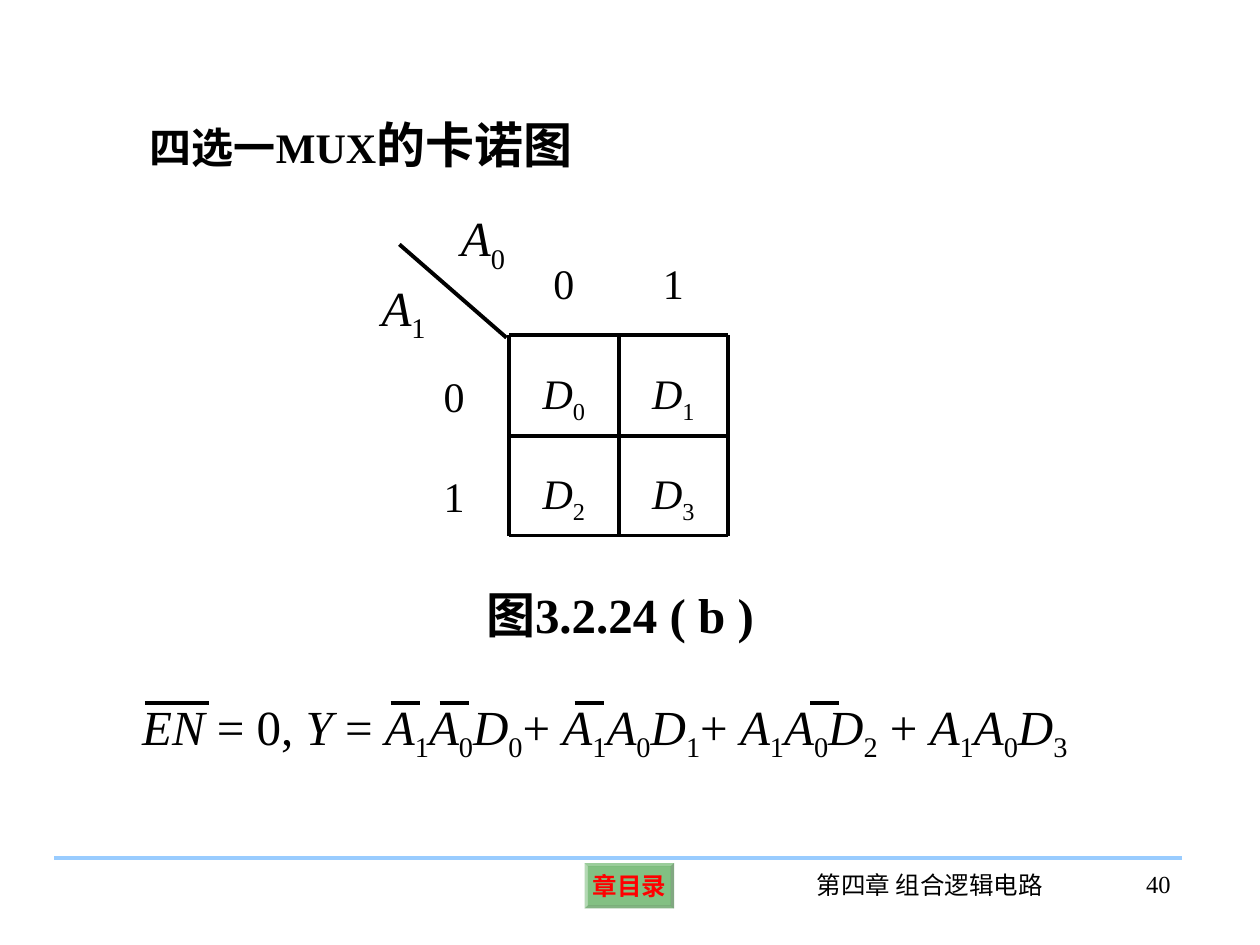
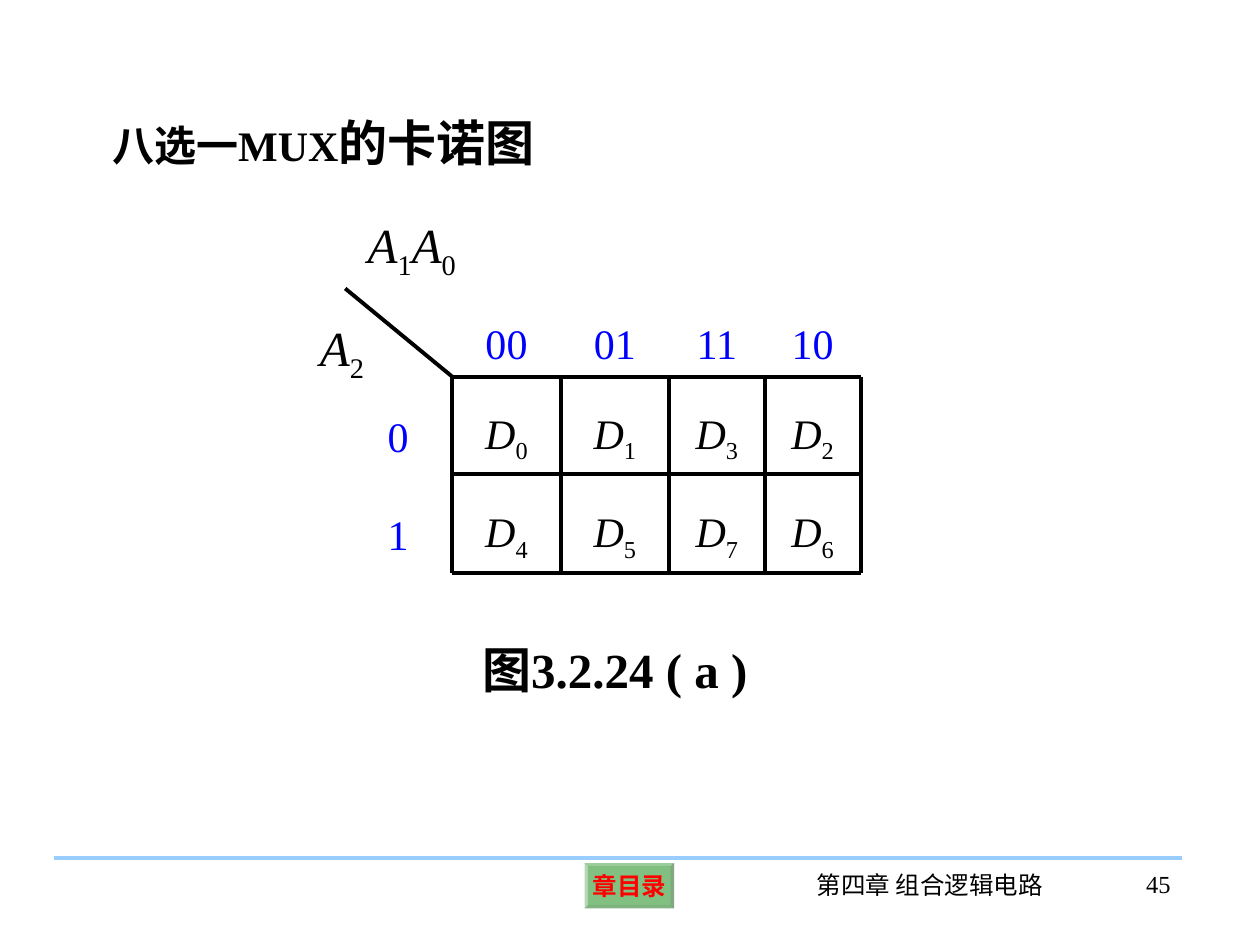
from itertools import accumulate, groupby, product

from lxml import etree
from pptx import Presentation
from pptx import util as u
from pptx.dml.color import RGBColor
from pptx.enum import shapes, text
from pptx.oxml.ns import qn

BLACK = RGBColor(0, 0, 0)
BLUE = RGBColor(0, 0, 255)
RED = RGBColor(255, 0, 0)
GREEN = RGBColor(0, 128, 0)
SKY = RGBColor(0x99, 0xCC, 0xFF)
FONT = "Times New Roman"
LEFT, CENTER, RIGHT = text.PP_ALIGN.LEFT, text.PP_ALIGN.CENTER, text.PP_ALIGN.RIGHT
MIDDLE = text.MSO_ANCHOR.MIDDLE
MARGINS = (0.1, 0.05, 0.1, 0.05)
CELL_MARGINS = (0.02, 0.1, 0.02, 0.02)

CHAPTER = "第四章 组合逻辑电路"
BUTTON = "章目录"

# In formulas, "_" makes the next character a subscript.
SLIDES = [
    {
        "page": "40",
        "title": [("四选一MUX", 24), ("的卡诺图", 28)],
        "title_at": (1.09, 0.86),
        "map": {
            "origin": (4.04, 2.66), "stub": 0.87, "head": 0.99,
            "cols": [0.87, 0.87], "rows": [0.8, 0.79],
            "col_codes": ["0", "1"], "row_codes": ["0", "1"],
            "code_color": BLACK, "diagonal": (3.17, 1.94, 4.02, 2.68),
        },
        "variables": [("A_1", (2.93, 2.15, 0.9, 0.63)), ("A_0", (3.56, 1.6, 0.76, 0.63))],
        "caption": ("图3.2.24 ( b )", (3.76, 4.59, 2.53, 0.57)),
        "formula": ("EN = 0, Y = A_1A_0D_0+ A_1A_0D_1+ A_1A_0D_2 + A_1A_0D_3",
                    (1.03, 5.48, 8.29, 0.63)),
        "overbars": [(1.15, 0.51), (3.1, 0.23), (3.49, 0.23), (4.56, 0.23), (6.43, 0.23)],
    },
    {
        "page": "45",
        "title": [("八选一MUX", 24), ("的卡诺图", 28)],
        "title_at": (0.79, 0.84),
        "map": {
            "origin": (3.59, 2.99), "stub": 0.86, "head": 0.7,
            "cols": [0.86, 0.86, 0.76, 0.76], "rows": [0.77, 0.79],
            "col_codes": ["00", "01", "11", "10"], "row_codes": ["0", "1"],
            "code_color": BLUE, "diagonal": (2.74, 2.29, 3.59, 2.99),
        },
        "variables": [("A_2", (2.44, 2.47, 0.88, 0.63)), ("A_1A_0", (2.82, 1.65, 1.47, 0.63))],
        "caption": ("图3.2.24 ( a )", (3.73, 5.03, 2.53, 0.57)),
        "formula": None,
        "overbars": [],
    },
]


def inches(values):
    return [u.Inches(v) for v in values]


def add_run(p, words, size, color=BLACK, bold=False, italic=False, sub=False):
    r = p.add_run()
    r.text = words
    for name, value in {"name": FONT, "size": u.Pt(size), "bold": bold, "italic": italic}.items():
        setattr(r.font, name, value)
    r.font.color.rgb = color
    if sub:
        r.font._element.set("baseline", "-25000")


def set_frame(tf, margins=MARGINS, anchor=text.MSO_ANCHOR.TOP, wrap=True):
    sides = ("margin_left", "margin_top", "margin_right", "margin_bottom")
    values = dict(zip(sides, inches(margins)), vertical_anchor=anchor, word_wrap=wrap,
                  auto_size=text.MSO_AUTO_SIZE.NONE)
    for name, value in values.items():
        setattr(tf, name, value)


def add_box(s, box, align=LEFT, **frame):
    """Add a text box and return its first paragraph."""
    tf = s.shapes.add_textbox(*inches(box)).text_frame
    set_frame(tf, **frame)
    tf.paragraphs[0].alignment = align
    return tf.paragraphs[0]


def add_math(p, formula, size, color=BLACK):
    """Write letters in italics and characters after "_" as subscripts."""
    marks = [(ch, ch.isalpha(), before == "_")
             for before, ch in zip(" " + formula, formula) if ch != "_"]
    for (italic, sub), group in groupby(marks, key=lambda m: m[1:]):
        add_run(p, "".join(m[0] for m in group), size, color, italic=italic, sub=sub)


def add_line(s, x1, y1, x2, y2, color=BLACK):
    line = s.shapes.add_connector(shapes.MSO_CONNECTOR.STRAIGHT, *inches((x1, y1, x2, y2)))
    line.line.color.rgb = color
    line.line.width = u.Pt(2.25)
    etree.SubElement(line._element.spPr, qn("a:effectLst"))


def add_footer(s, page):
    sp = s.shapes.add_shape(shapes.MSO_SHAPE.BEVEL, *inches((4.64, 6.85, 0.71, 0.36)))
    sp.adjustments[0] = 0.07
    sp.shadow.inherit = False
    sp.fill.solid()
    sp.fill.fore_color.rgb = GREEN
    rgb = sp._element.spPr.find(".//" + qn("a:srgbClr"))
    etree.SubElement(rgb, qn("a:alpha"), val="49000")
    sp.line.fill.background()
    set_frame(sp.text_frame, (0.04,) * 4, MIDDLE, wrap=False)
    p = sp.text_frame.paragraphs[0]
    p.alignment = CENTER
    add_run(p, BUTTON, 14, RED, bold=True)

    add_line(s, 0.43, 6.81, 9.38, 6.81, SKY)
    add_run(add_box(s, (6.24, 6.86, 2.28, 0.5), CENTER), CHAPTER, 14)
    add_run(add_box(s, (8.53, 6.85, 0.86, 0.5), RIGHT), page, 14)


def add_title(s, parts, at):
    sp = s.shapes.title
    sp.left, sp.top, sp.width, sp.height = inches((*at, 3.66, 1.04))
    set_frame(sp.text_frame)
    p = sp.text_frame.paragraphs[0]
    p.alignment = LEFT
    for words, size in parts:
        add_run(p, words, size, bold=True)


def add_karnaugh_map(s, m):
    """Draw the grid; each cell's index is its row code followed by its column code."""
    left, top = m["origin"]
    xs = list(accumulate([left, *m["cols"]]))
    ys = list(accumulate([top, *m["rows"]]))
    columns = list(zip(m["col_codes"], xs, m["cols"]))
    rows = list(zip(m["row_codes"], ys, m["rows"]))

    cells = [(code, (x, top - m["head"], w, m["head"]), m["code_color"])
             for code, x, w in columns]
    cells += [(code, (left - m["stub"], y, m["stub"], h), m["code_color"])
              for code, y, h in rows]
    cells += [(f"D_{int(row + col, 2)}", (x, y, w, h), BLACK)
              for (row, y, h), (col, x, w) in product(rows, columns)]
    for label, box, color in cells:
        p = add_box(s, box, CENTER, margins=CELL_MARGINS, anchor=MIDDLE)
        p.line_spacing = 1.2
        add_math(p, label, 24, color)

    for x in xs:
        add_line(s, x, top, x, ys[-1])
    for y in ys:
        add_line(s, left, y, xs[-1], y)
    add_line(s, *m["diagonal"])


def main():
    prs = Presentation()
    prs.slide_width, prs.slide_height = inches((10, 7.5))
    title_only = prs.slide_layouts[5]
    for content in SLIDES:
        s = prs.slides.add_slide(title_only)
        add_footer(s, content["page"])
        add_title(s, content["title"], content["title_at"])
        add_karnaugh_map(s, content["map"])
        for name, box in content["variables"]:
            add_math(add_box(s, box), name, 28)
        caption, box = content["caption"]
        add_run(add_box(s, box), caption, 28, bold=True)
        if content["formula"]:
            formula, box = content["formula"]
            add_math(add_box(s, box), formula, 28)
        for x, width in content["overbars"]:
            add_line(s, x, 5.58, x + width, 5.58)
    prs.save("out.pptx")


if __name__ == "__main__":
    main()
